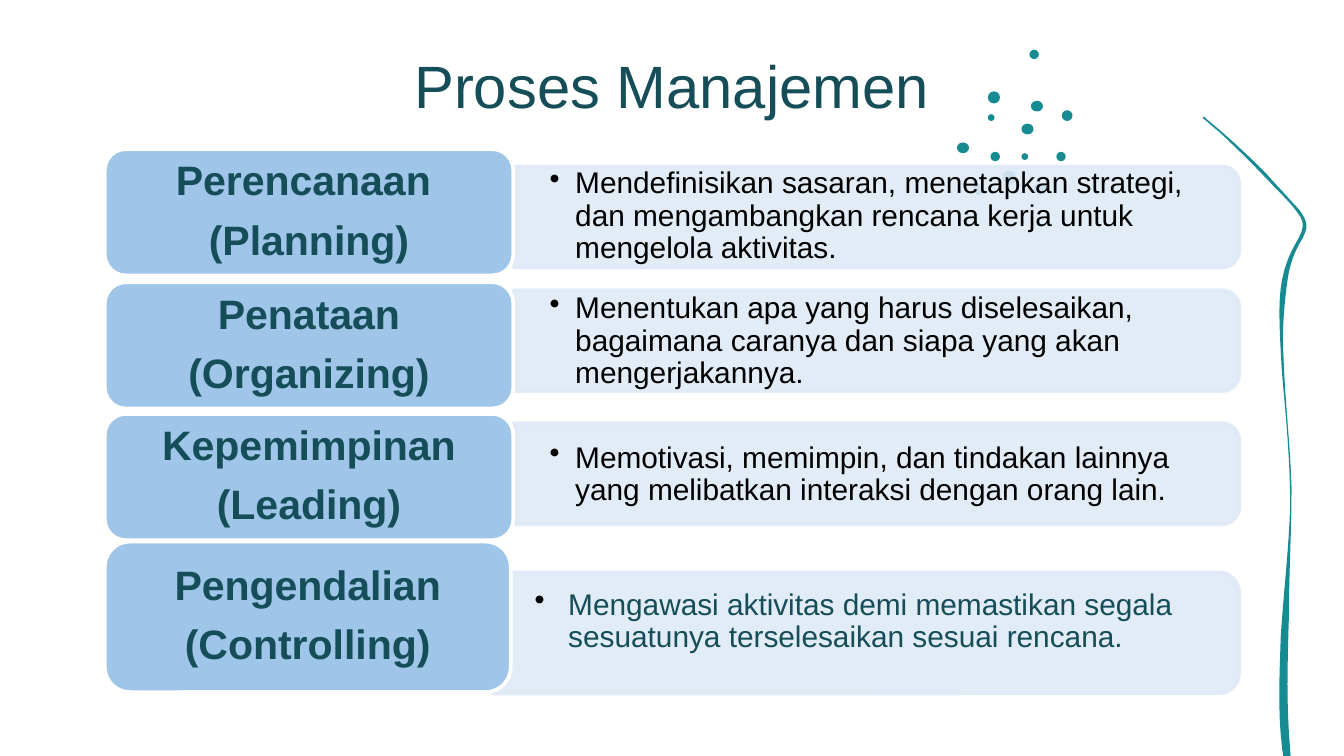
from lxml import etree
from pptx import Presentation
from pptx.dml.color import RGBColor
from pptx.enum.shapes import MSO_SHAPE
from pptx.enum.text import MSO_ANCHOR, PP_ALIGN
from pptx.oxml.ns import qn
from pptx.util import Pt

PX = 9144
WIDE, HIGH = 1000, 562
OVAL = MSO_SHAPE.OVAL
ROUND = MSO_SHAPE.ROUNDED_RECTANGLE
TAB = MSO_SHAPE.ROUND_2_SAME_RECTANGLE
MID, TOP = MSO_ANCHOR.MIDDLE, MSO_ANCHOR.TOP
LEFT, CENTER = PP_ALIGN.LEFT, PP_ALIGN.CENTER
FONT = "Arial"
TEAL, INK, BLACK, WHITE = "168B91", "154D58", "000000", "FFFFFF"
BLUE, PALE = "9FC5E8", "DFEAF6"

START = (896, 87)
CURVES = [
    (896, 87, 897, 87, 897, 88), (913, 101, 928, 115, 942, 129),
    (948, 136, 955, 143, 961, 150), (967, 156, 973, 163, 972, 170),
    (971, 174, 969, 178, 967, 181), (965, 185, 963, 189, 962, 192),
    (959, 200, 958, 208, 957, 216), (955, 233, 954, 249, 955, 265),
    (956, 297, 960, 330, 961, 363), (961, 395, 959, 428, 959, 460),
    (958, 493, 957, 525, 960, 558), (960, 562, 961, 566, 961, 570),
    (961, 571, 960, 571, 959, 571), (958, 571, 956, 571, 956, 570),
    (950, 538, 952, 505, 953, 473), (955, 441, 959, 409, 960, 376),
    (960, 344, 957, 312, 954, 279), (953, 263, 952, 247, 952, 231),
    (952, 216, 954, 200, 962, 185), (966, 177, 972, 170, 968, 162),
    (963, 154, 956, 147, 949, 140), (936, 126, 922, 112, 907, 98),
    (903, 95, 899, 91, 895, 88), (895, 88, 895, 87, 896, 87),
]
DOTS = [
    (769, 136, 10, 9), (760, 114, 5, 5), (786, 113, 7, 7), (767, 75, 9, 8),
    (735, 68, 9, 9), (760, 92, 9, 8), (735, 85, 5, 5), (737, 113, 7, 7),
    (724, 137, 8, 8), (712, 106, 9, 8), (746, 127, 10, 10),
    (790, 82, 8, 8), (766, 37, 7, 7),
]
ROWS = [
    ((78, 111, 304, 94), (382, 124, 540, 75), (382, 127, 536, 68),
     ["Perencanaan ", "(Planning)"],
     "Mendefinisikan sasaran, menetapkan strategi, dan mengambangkan "
     "rencana kerja untuk mengelola aktivitas.", (27, 14), 19, BLACK),
    ((78, 210, 304, 94), (382, 216, 540, 75), (382, 220, 536, 68),
     ["Penataan", "(Organizing)"],
     "Menentukan apa yang harus diselesaikan, bagaimana caranya dan "
     "siapa yang akan mengerjakannya.", (27, 14), 19, BLACK),
    ((78, 308, 304, 94), (382, 315, 540, 75), (382, 319, 536, 68),
     ["Kepemimpinan", "(Leading)"],
     "Memotivasi, memimpin, dan tindakan lainnya yang melibatkan "
     "interaksi dengan orang lain.", (27, 14), 19, BLACK),
    ((78, 403, 302, 112), (367, 426, 555, 90), (388, 414, 527, 97),
     ["Pengendalian", "(Controlling)"],
     "Mengawasi aktivitas demi memastikan segala sesuatunya "
     "terselesaikan sesuai rencana.", (10, 5), 25, INK),
]


def emu(*vals):
    return [round(v * PX) for v in vals]


def paint(form, hue):
    form.solid()
    form.fore_color.rgb = RGBColor.from_string(hue)


def style(shape, hue, edge=None):
    shape.shadow.inherit = False
    paint(shape.fill, hue)
    if edge:
        paint(shape.line.fill, edge)
        shape.line.width = Pt(2)
    else:
        shape.line.fill.background()
    return shape


def write(shape, lines, size, hue, align, pad, anchor=MID, bold=False):
    frame = shape.text_frame
    frame.word_wrap = True
    frame.vertical_anchor = anchor
    frame.margin_left = frame.margin_right = pad[0] * PX
    frame.margin_top = frame.margin_bottom = pad[1] * PX
    frame.text = "\n".join(lines)
    for para in frame.paragraphs:
        para.alignment = align
        para.font.name = FONT
        para.font.size = Pt(size)
        para.font.bold = bold
        para.font.color.rgb = RGBColor.from_string(hue)
    return frame.paragraphs


def bullet(para, dent):
    props = para._p.get_or_add_pPr()
    props.set("marL", str(dent * PX))
    props.set("indent", str(-dent * PX))
    tint = etree.Element(qn("a:buClr"))
    etree.SubElement(tint, qn("a:srgbClr"), val=BLACK)
    mark = etree.Element(qn("a:buChar"), char="•")
    spot = props.find(qn("a:defRPr"))
    for node in (tint, mark):
        spot.addprevious(node)


def stem(shapes):
    last, points = START, []
    for curve in CURVES:
        ends = [last, curve[:2], curve[2:4], curve[4:]]
        for step in range(1, 9):
            t = step / 8
            mix = ((1 - t) ** 3, 3 * t * (1 - t) ** 2, 3 * t * t * (1 - t), t ** 3)
            x, y = (sum(m * e[i] for m, e in zip(mix, ends)) for i in (0, 1))
            points.append(emu(x, y))
        last = curve[4:]
    path = shapes.build_freeform(*emu(*START), scale=1.0)
    path.add_line_segments(points, close=True)
    style(path.convert_to_shape(), TEAL)


def spray(shapes):
    for box in DOTS:
        style(shapes.add_shape(OVAL, *emu(*box)), TEAL)


def panel(shapes, box):
    x, y, w, h = box
    turned = (x + (w - h) / 2, y + (h - w) / 2, h, w)
    shape = style(shapes.add_shape(TAB, *emu(*turned)), PALE, PALE)
    shape.rotation = 90
    for tint in shape.element.spPr.iter(qn("a:srgbClr")):
        etree.SubElement(tint, qn("a:alpha"), val="90000")


def row(shapes, tag, back, area, names, text, pad, dent, hue):
    panel(shapes, back)
    note = shapes.add_textbox(*emu(*area))
    para = write(note, [text], 16, hue, LEFT, pad)[0]
    para.line_spacing = 0.9
    para.runs[0].font.size = Pt(16)
    bullet(para, dent)
    label = style(shapes.add_shape(ROUND, *emu(*tag)), BLUE, WHITE)
    for para in write(label, names, 22, INK, CENTER, (9, 5), bold=True):
        para.line_spacing = 0.9
        para.space_after = Pt(8)


def title(shapes, box):
    head = shapes.add_textbox(*emu(*box))
    write(head, ["Proses Manajemen"], 32, INK, CENTER, (10, 10), TOP)


def main():
    deck = Presentation()
    deck.slide_width = WIDE * PX
    deck.slide_height = deck.slide_width * 9 // 16
    slide = deck.slides.add_slide(deck.slide_layouts[6])
    paint(slide.background.fill, WHITE)
    shapes = slide.shapes
    stem(shapes)
    spray(shapes)
    for item in ROWS:
        row(shapes, *item)
    title(shapes, (78, 26, 844, 63))
    deck.save("out.pptx")


if __name__ == "__main__":
    main()
